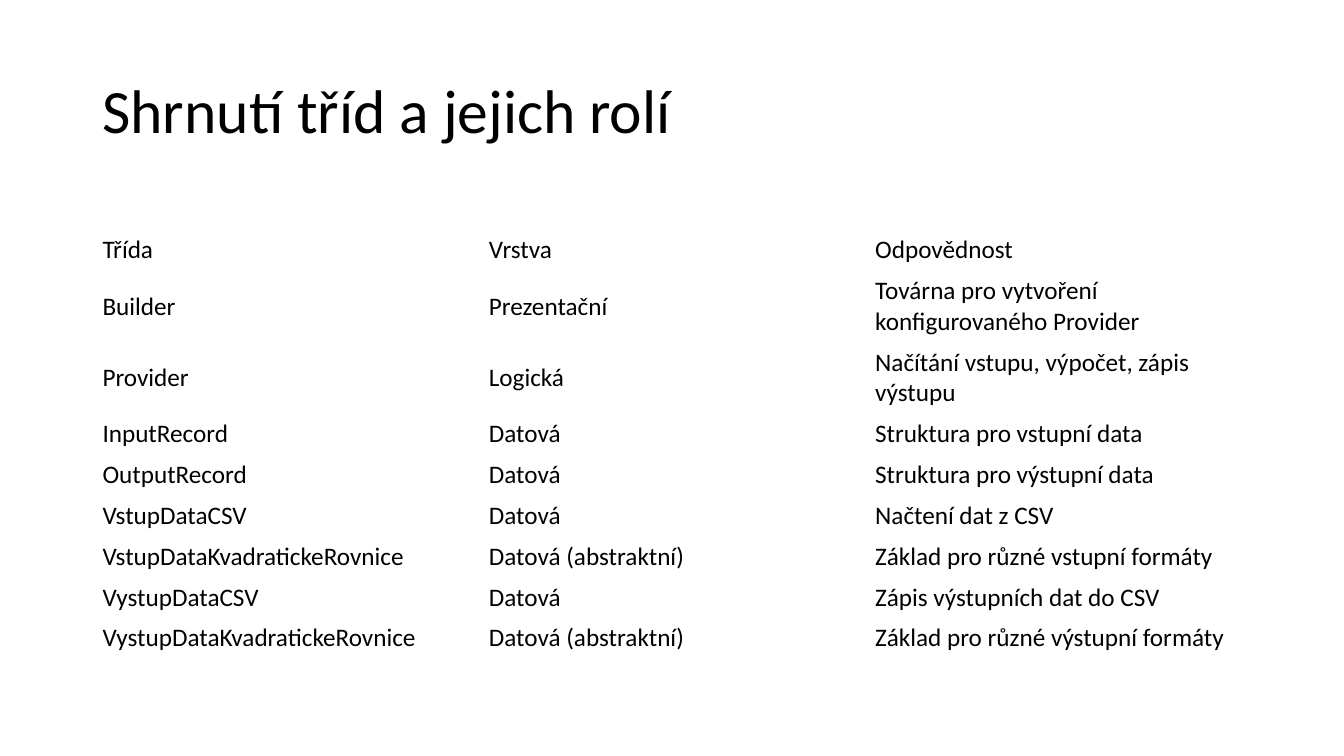
"""Build a slide that sums up classes and their roles in a table."""
from dataclasses import astuple, dataclass

from pptx import Presentation
from pptx import util as u
from pptx.dml.color import RGBColor
from pptx.enum import text
from pptx.slide import Slide
from pptx.text.text import TextFrame

BLACK = RGBColor(0x00, 0x00, 0x00)
FONT = "Calibri"
LEFT, WIDTH = u.Cm(2.33), u.Cm(29.21)
LINE_HEIGHT, CELL_PADDING = 0.77, 0.26


@dataclass
class ClassRole:
    name: str
    layer: str
    duty: str


HEADER = ClassRole("Třída", "Vrstva", "Odpovědnost")
ROLES = [
    ClassRole("Builder", "Prezentační", "Továrna pro vytvoření konfigurovaného Provider"),
    ClassRole("Provider", "Logická", "Načítání vstupu, výpočet, zápis výstupu"),
    ClassRole("InputRecord", "Datová", "Struktura pro vstupní data"),
    ClassRole("OutputRecord", "Datová", "Struktura pro výstupní data"),
    ClassRole("VstupDataCSV", "Datová", "Načtení dat z CSV"),
    ClassRole("VstupDataKvadratickeRovnice", "Datová (abstraktní)", "Základ pro různé vstupní formáty"),
    ClassRole("VystupDataCSV", "Datová", "Zápis výstupních dat do CSV"),
    ClassRole("VystupDataKvadratickeRovnice", "Datová (abstraktní)", "Základ pro různé výstupní formáty"),
]
TWO_LINE_CLASSES = {"Builder", "Provider"}


def write(tf: TextFrame, words: str, size: int, spacing: float = 1.0) -> None:
    """Write one run of black text into a text frame."""
    p = tf.paragraphs[0]
    p.line_spacing = spacing
    r = p.add_run()
    r.text = words
    r.font.name = FONT
    r.font.size = u.Pt(size)
    r.font.color.rgb = BLACK


def add_title(s: Slide, words: str) -> None:
    """Add the slide title."""
    sp = s.shapes.add_textbox(LEFT, u.Cm(1.01), WIDTH, u.Cm(3.68))
    tf = sp.text_frame
    tf.word_wrap = True
    tf.vertical_anchor = text.MSO_ANCHOR.MIDDLE
    write(tf, words, 44, 0.9)


def add_role_table(s: Slide, rows: list[ClassRole]) -> None:
    """Add the plain table with one class per row."""
    heights = [u.Cm(CELL_PADDING + LINE_HEIGHT * (2 if row.name in TWO_LINE_CLASSES else 1)) for row in rows]
    sp = s.shapes.add_table(len(rows), 3, LEFT, u.Cm(5.79), WIDTH, sum(heights))
    table = sp.table
    table.first_row = table.horz_banding = False
    for i, (row, height) in enumerate(zip(rows, heights)):
        table.rows[i].height = height
        for j, words in enumerate(astuple(row)):
            cell = table.cell(i, j)
            cell.fill.background()
            cell.vertical_anchor = text.MSO_ANCHOR.MIDDLE
            write(cell.text_frame, words, 18)


def main() -> None:
    """Create and save the presentation."""
    prs = Presentation()
    prs.slide_width, prs.slide_height = u.Cm(33.87), u.Cm(19.05)
    s = prs.slides.add_slide(prs.slide_layouts[6])
    add_title(s, "Shrnutí tříd a jejich rolí")
    add_role_table(s, [HEADER, *ROLES])
    prs.save("out.pptx")


if __name__ == "__main__":
    main()
